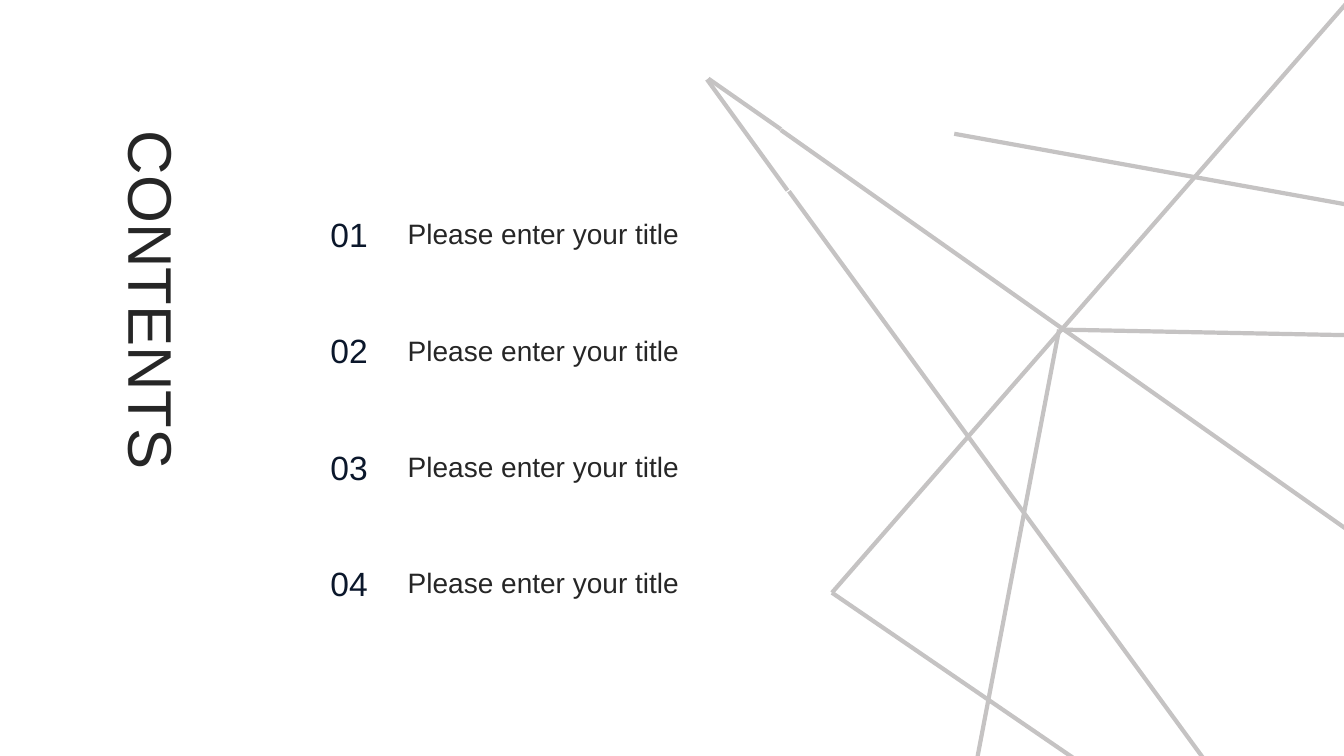
from lxml.etree import SubElement
from pptx import Presentation
from pptx.dml.color import RGBColor
from pptx.enum.shapes import MSO_CONNECTOR
from pptx.enum.text import MSO_AUTO_SIZE, PP_ALIGN
from pptx.oxml.ns import qn
from pptx.util import Inches, Pt

LINE_GREY = RGBColor(0xC5, 0xC3, 0xC3)
INK = RGBColor(0x26, 0x26, 0x26)
NAVY = RGBColor(0x0B, 0x17, 0x2B)

deck = Presentation()
deck.slide_width, deck.slide_height = Inches(13.33), Inches(7.5)
slide = deck.slides.add_slide(deck.slide_layouts[6])


def share(x, y):
    """Turn percentages of the slide's width and height into lengths."""
    return int(deck.slide_width * x / 100), int(deck.slide_height * y / 100)


def add_text(words, corner, extent, size, color, wrap=True):
    """Add a one-line text box; corner and extent are slide percentages."""
    box = slide.shapes.add_textbox(*share(*corner), *share(*extent))
    box.text_frame.word_wrap = wrap
    box.text_frame.auto_size = MSO_AUTO_SIZE.SHAPE_TO_FIT_TEXT
    run = box.text_frame.paragraphs[0].add_run()
    run.text = words
    run.font.name, run.font.size = "Arial", Pt(size)
    run.font.color.rgb = color
    return box


# Web of lines, in percent of the slide; the outer ends bleed past its edges
HUB = (78.8, 43.6)
LOWER_CORNER = (61.9, 78.4)
web = [
    ((91.4, 114.3), LOWER_CORNER),
    ((95, 113.6), (58.7, 25.3)),
    ((129.6, 106.9), (58.1, 17.2)),
    ((137.8, 39.1), (71, 17.7)),
    ((70.8, 118.1), HUB),
    (HUB, (113.7, 44.8)),
    (LOWER_CORNER, (113.5, -26.7)),
    ((58.6, 25.2), (52.6, 10.5)),
    ((58.1, 17.1), (52.7, 10.4)),
]
for start, end in web:
    strand = slide.shapes.add_connector(
        MSO_CONNECTOR.STRAIGHT, *share(*start), *share(*end))
    strand.line.color.rgb = LINE_GREY
    strand.line.width = Pt(3)
    SubElement(strand._element.spPr, qn("a:effectLst"))

# Heading, turned to read downwards
heading = add_text("CONTENTS", (-2.55, 34.1), (27.8, 11.2), 44, INK)
heading.text_frame.paragraphs[0].alignment = PP_ALIGN.CENTER
heading.rotation = 90

# Numbered entries
FIRST_ROW, ROW_PITCH = 27.6, 15.4
for row in range(4):
    top = FIRST_ROW + row * ROW_PITCH
    add_text(f"{row + 1:02}", (23.85, top), (4.3, 6.7), 24, NAVY, wrap=False)
    add_text("Please enter your title", (29.6, top + 0.4), (28.4, 5.9), 20, INK)

deck.save("out.pptx")
